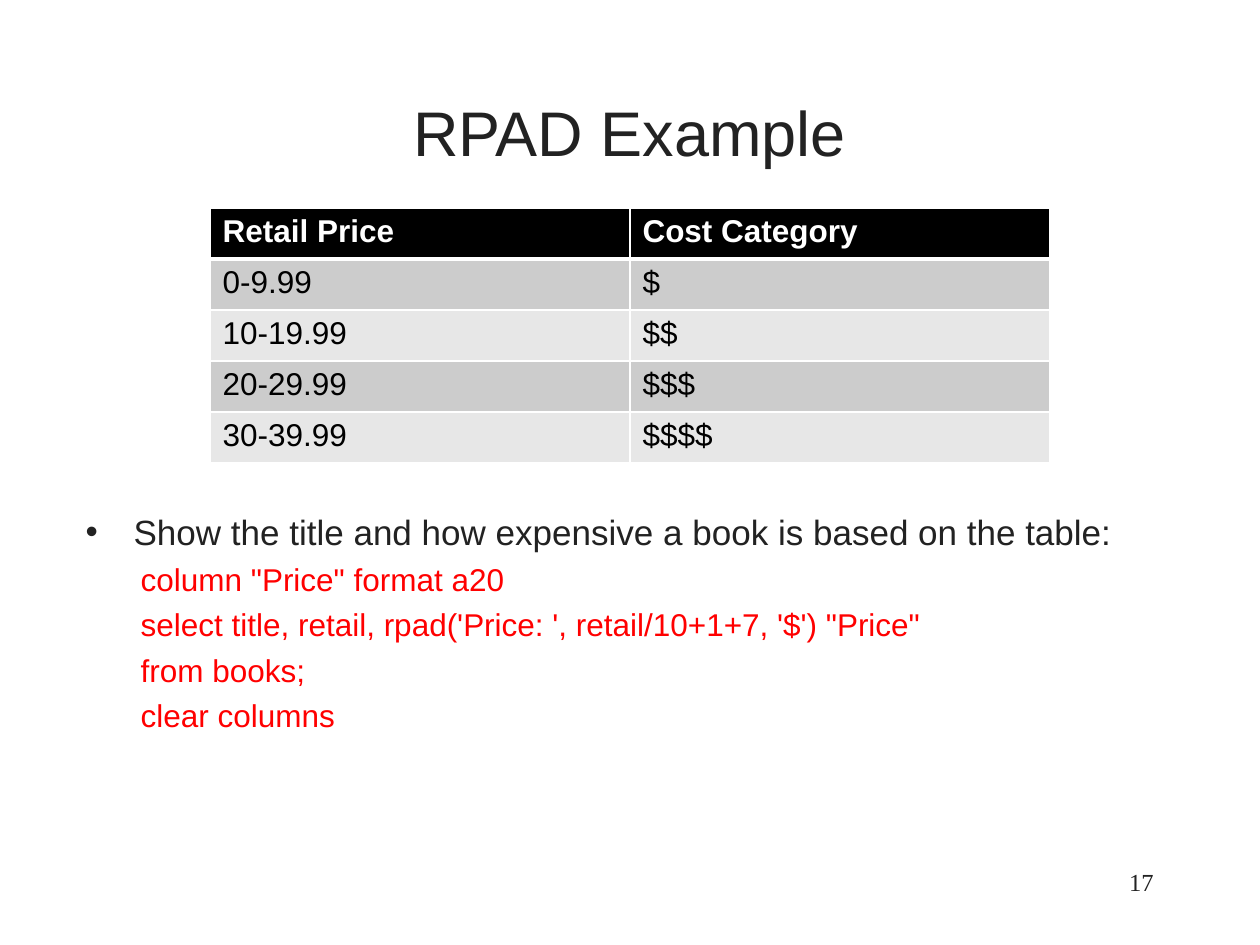
from lxml.etree import SubElement
from pptx import Presentation
from pptx.dml.color import RGBColor
from pptx.enum.text import MSO_ANCHOR as Anchor, MSO_AUTO_SIZE as AutoSize, PP_ALIGN as Align
from pptx.oxml.ns import qn
from pptx.util import Emu, Pt

INK = RGBColor(0x22, 0x22, 0x22)
RED = RGBColor(0xFF, 0x00, 0x00)
BLACK = RGBColor(0x00, 0x00, 0x00)
WHITE = RGBColor(0xFF, 0xFF, 0xFF)
BANDS = (RGBColor(0xE7, 0xE7, 0xE7), RGBColor(0xCC, 0xCC, 0xCC))

ROWS = [
    ("Retail Price", "Cost Category"),
    ("0-9.99", "$"),
    ("10-19.99", "$$"),
    ("20-29.99", "$$$"),
    ("30-39.99", "$$$$"),
]
TASK = "Show the title and how expensive a book is based on the table:"
QUERY = [
    'column "Price" format a20',
    "select title, retail, rpad('Price: ', retail/10+1+7, '$') \"Price\"",
    "from books;",
    "clear columns",
]


def px(count):
    return Emu(round(count * 914400 / 126))


def place(shape, left, top, width, height):
    shape.left, shape.top = px(left), px(top)
    shape.width, shape.height = px(width), px(height)


def style(para, size, color, bold=False, name="Arial"):
    font = para.font
    font.size, font.bold, font.name = Pt(size), bold, name
    font.color.rgb = color


def set_bullet(para, margin, indent, char=None):
    """Set the indents and the bullet; without char the bullet is off."""
    props = para._p.get_or_add_pPr()
    props.set("marL", str(px(margin)))
    props.set("indent", str(px(indent)))
    if char:
        SubElement(props, qn("a:buChar"), char=char)
    else:
        SubElement(props, qn("a:buNone"))


def set_borders(cell, bottom, top):
    """Draw white cell borders, 1 pt wide at the sides."""
    props = cell._tc.get_or_add_tcPr()
    widths = {"a:lnL": 1, "a:lnR": 1, "a:lnT": top, "a:lnB": bottom}
    for position, (tag, width) in enumerate(widths.items()):
        line = SubElement(props, qn(tag), w=str(Pt(width)))
        fill = SubElement(line, qn("a:solidFill"))
        SubElement(fill, qn("a:srgbClr"), val=str(WHITE))
        props.insert(position, line)


def add_title(page, text):
    title = page.shapes.title
    place(title, 73, 53, 1113, 157)
    frame = title.text_frame
    frame.text = text
    frame.auto_size = AutoSize.NONE
    frame.vertical_anchor = Anchor.MIDDLE
    para = frame.paragraphs[0]
    para.alignment = Align.CENTER
    style(para, 36, INK)


def add_body(page, task, query):
    body = page.placeholders[1]
    place(body, 73, 504, 1113, 357)
    frame = body.text_frame
    frame.text = "\n".join([task, *query])
    frame.auto_size = AutoSize.NONE
    first, *rest = frame.paragraphs
    first.space_before = Pt(4)
    style(first, 20, INK)
    set_bullet(first, 48, -48, "•")
    for para in rest:
        para.level = 1
        para.space_before = Pt(4.3)
        style(para, 18, RED)
        set_bullet(para, 55, 0)


def add_price_table(page, rows):
    row_height = 51
    frame = page.shapes.add_table(len(rows), len(rows[0]), px(210), px(208),
                                  px(840), px(row_height * len(rows)))
    table = frame.table
    for row_no, values in enumerate(rows):
        header = row_no == 0
        table.rows[row_no].height = px(row_height)
        for col_no, value in enumerate(values):
            cell = table.cell(row_no, col_no)
            cell.text = value
            cell.fill.solid()
            cell.fill.fore_color.rgb = BLACK if header else BANDS[row_no % 2]
            set_borders(cell, bottom=3 if header else 1, top=3 if row_no == 1 else 1)
            style(cell.text_frame.paragraphs[0], 18, WHITE if header else BLACK, header)


def add_page_number(page, number):
    box = page.shapes.add_textbox(px(903), px(861), px(263), px(63))
    frame = box.text_frame
    frame.word_wrap = True
    frame.text = number
    para = frame.paragraphs[0]
    para.alignment = Align.RIGHT
    style(para, 14, INK, name="Times New Roman")


def main():
    deck = Presentation()
    deck.slide_width, deck.slide_height = px(1260), px(945)
    page = deck.slides.add_slide(deck.slide_layouts[1])
    add_title(page, "RPAD Example")
    add_body(page, TASK, QUERY)
    add_page_number(page, "17")
    add_price_table(page, ROWS)
    deck.save("out.pptx")


if __name__ == "__main__":
    main()
